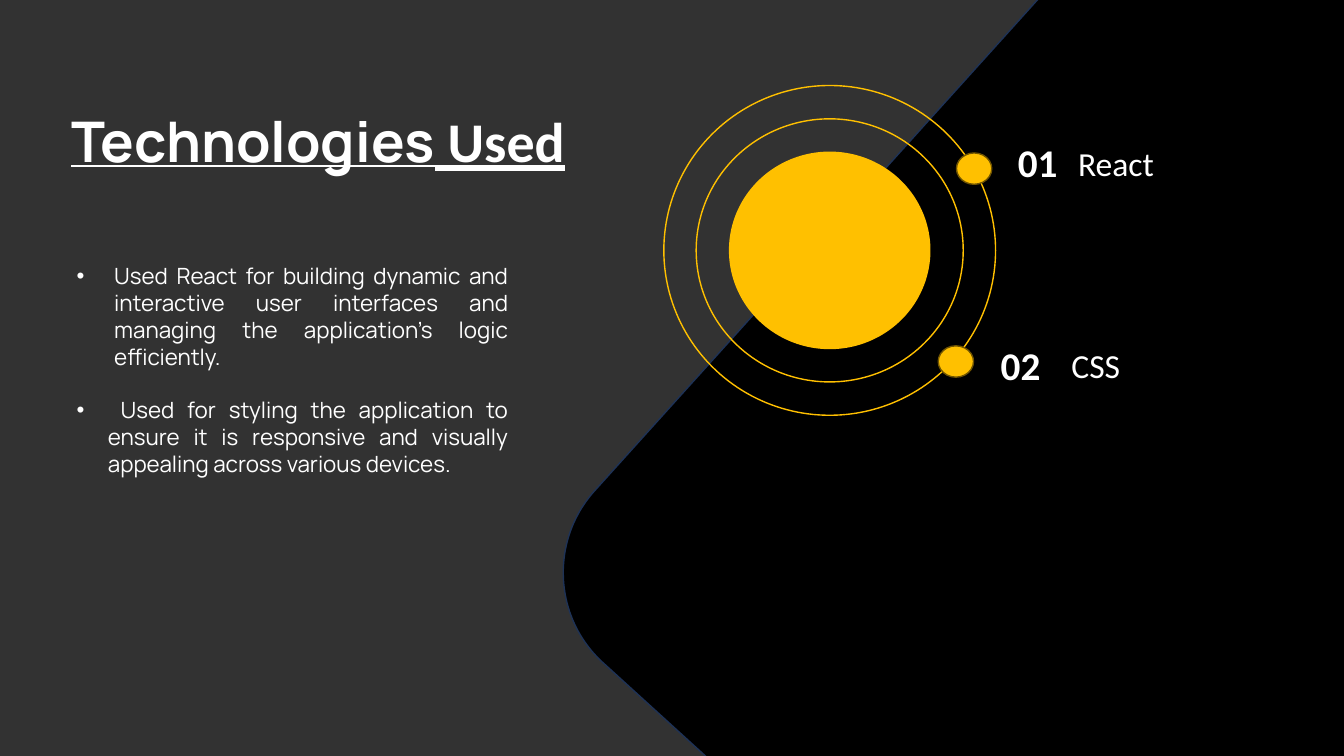
from lxml.etree import SubElement
from pptx import Presentation
from pptx.dml.color import RGBColor
from pptx.enum.shapes import MSO_SHAPE
from pptx.enum.text import MSO_ANCHOR, MSO_AUTO_SIZE, PP_ALIGN
from pptx.oxml.ns import qn
from pptx.util import Cm, Pt

COLORS = {
    "background": "323232",
    "panel": "000000",
    "panel_edge": "1E3256",
    "accent": "FFC000",
    "dot_edge": "705400",
    "text": "FFFFFF",
}


def color(name):
    return RGBColor.from_string(COLORS[name])


def write(paragraph, text, size=16, font="Calibri", bold=False, underline=False):
    run = paragraph.add_run()
    run.text = text
    run.font.size = Pt(size)
    run.font.name = font
    run.font.bold = bold
    run.font.underline = underline
    run.font.color.rgb = color("text")


def bezier(start, first, second, end, steps=40):
    for step in range(1, steps + 1):
        t = step / steps
        weights = ((1 - t) ** 3, 3 * t * (1 - t) ** 2, 3 * t * t * (1 - t), t ** 3)
        yield tuple(
            sum(w * point[axis] for w, point in zip(weights, (start, first, second, end)))
            for axis in (0, 1)
        )


class SlideBuilder:
    def __init__(self, presentation):
        self.slide = presentation.slides.add_slide(presentation.slide_layouts[6])
        self.slide.background.fill.solid()
        self.slide.background.fill.fore_color.rgb = color("background")

    def paint(self, shape, fill=None, line=None):
        shape.shadow.inherit = False
        if fill:
            shape.fill.solid()
            shape.fill.fore_color.rgb = color(fill)
        else:
            shape.fill.background()
        if line:
            shape.line.color.rgb = color(line)
            shape.line.width = Pt(1)
        else:
            shape.line.fill.background()

    def outline(self, points, **paint):
        corners = [(Cm(x), Cm(y)) for x, y in points]
        builder = self.slide.shapes.build_freeform(*corners[0])
        builder.add_line_segments(corners[1:], close=True)
        self.paint(builder.convert_to_shape(), **paint)

    def ellipse(self, center, width, height, **paint):
        x, y = center
        shape = self.slide.shapes.add_shape(
            MSO_SHAPE.OVAL, Cm(x - width / 2), Cm(y - height / 2), Cm(width), Cm(height)
        )
        self.paint(shape, **paint)

    def frame(self, left, top, width, height, grow=True):
        frame = self.slide.shapes.add_textbox(Cm(left), Cm(top), Cm(width), Cm(height)).text_frame
        frame.word_wrap = True
        frame.auto_size = MSO_AUTO_SIZE.SHAPE_TO_FIT_TEXT if grow else MSO_AUTO_SIZE.NONE
        return frame

    def title(self, box, runs):
        frame = self.frame(*box, grow=False)
        frame.vertical_anchor = MSO_ANCHOR.MIDDLE
        heading = frame.paragraphs[0]
        heading.line_spacing = 0.9
        for text, font in runs:
            write(heading, text, size=40, font=font, bold=True, underline=True)

    def bullets(self, box, items, gap):
        frame = self.frame(*box)
        for index, (text, indent) in enumerate(items):
            paragraph = frame.add_paragraph() if index else frame.paragraphs[0]
            properties = paragraph._p.get_or_add_pPr()
            properties.set("marL", str(Cm(indent)))
            properties.set("indent", str(-Cm(indent)))
            SubElement(properties, qn("a:buFont")).set("typeface", "Arial")
            SubElement(properties, qn("a:buChar")).set("char", "•")
            paragraph.alignment = PP_ALIGN.JUSTIFY
            if index:
                paragraph.space_before = Pt(gap)
            write(paragraph, text, font="Manrope")

    def label(self, box, text, **style):
        write(self.frame(*box).paragraphs[0], text, **style)


def main():
    presentation = Presentation()
    presentation.slide_width = Cm(33.87)
    presentation.slide_height = Cm(19.05)
    page = SlideBuilder(presentation)

    curve_start, curve_end = (15.24, 16.74), (15.01, 12.34)
    panel = [(26.44, -0.33), (34.29, -0.33), (34.29, 19.08), (17.81, 19.08), curve_start]
    panel += bezier(curve_start, (13.94, 15.6), (13.84, 13.61), curve_end)
    page.outline(panel, fill="panel", line="panel_edge")

    page.title((1.55, 1.8, 14.3, 3.68), [("Technologies", "Manrope"), (" Used", "Calibri")])
    page.bullets(
        (1.68, 6.48, 11.38, 5.74),
        [
            ("Used React for building dynamic and interactive user interfaces "
             "and managing the application's logic efficiently.", 0.95),
            (" Used for styling the application to ensure it is responsive "
             "and visually appealing across various devices.", 0.79),
        ],
        gap=19,
    )

    hub = (20.91, 6.31)
    page.ellipse(hub, 5.08, 4.98, fill="accent")
    for width, height in ((6.73, 6.63), (8.36, 8.31)):
        page.ellipse(hub, width, height, line="accent")

    technologies = [
        ("01", (25.4, 3.35), (24.55, 4.25), "React", (26.92, 3.48)),
        ("02", (24.97, 8.48), (24.09, 9.11), "CSS", (26.75, 8.56)),
    ]
    for number, number_at, dot, name, name_at in technologies:
        page.label((*number_at, 2.06, 1.45), number, size=28, bold=True)
        page.ellipse(dot, 0.89, 0.79, fill="accent", line="dot_edge")
        page.label((*name_at, 2.51, 1.27), name, size=24)

    presentation.save("out.pptx")


if __name__ == "__main__":
    main()
